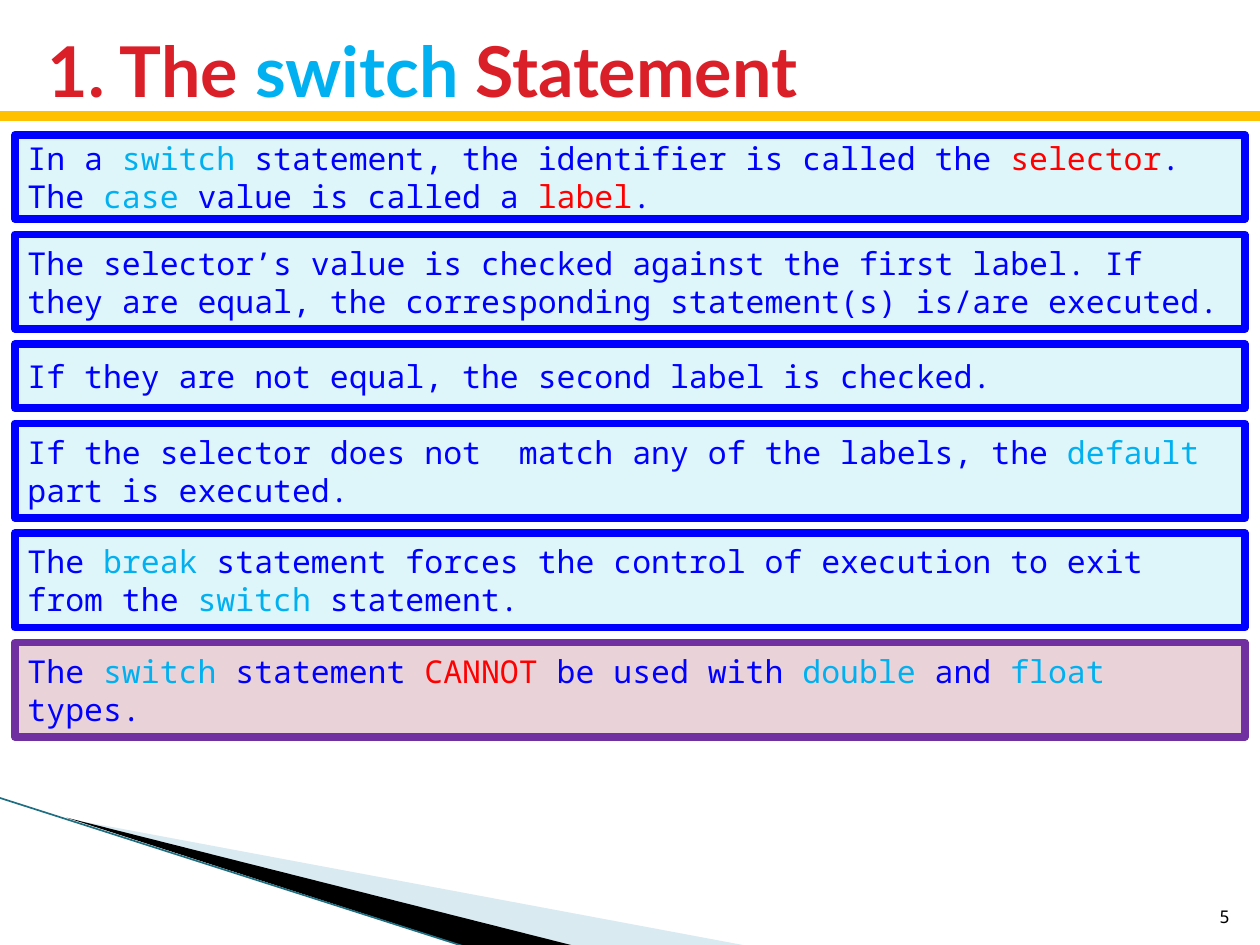
import pptx
import pptx.dml.color
import pptx.enum.shapes
import pptx.enum.text
import pptx.oxml.ns
import pptx.util
from lxml import etree

Inches = pptx.util.Inches
Pt = pptx.util.Pt
RGBColor = pptx.dml.color.RGBColor
Anchor = pptx.enum.text.MSO_ANCHOR
Align = pptx.enum.text.PP_ALIGN

CRIMSON = RGBColor(0xDA, 0x1F, 0x28)
SKY = RGBColor(0x00, 0xB0, 0xF0)
BLUE = RGBColor(0x00, 0x00, 0xFF)
RED = RGBColor(0xFF, 0x00, 0x00)
AMBER = RGBColor(0xFF, 0xC0, 0x00)
PURPLE = RGBColor(0x70, 0x30, 0xA0)
PALE_CYAN = RGBColor(0xDE, 0xF5, 0xFA)
PALE_ROSE = RGBColor(0xEA, 0xD3, 0xD8)
PALE_BLUE = RGBColor(0xA0, 0xCB, 0xDC)
TEAL = RGBColor(0x1F, 0x6F, 0x82)
BLACK = RGBColor(0x00, 0x00, 0x00)

TITLE_FONT = "Lato"
BODY_FONT = "Noto Sans Mono"

BOX_LEFT, BOX_TOP, BOX_WIDTH, BOX_GAP = 0.12, 1.07, 9.76, 0.12

# Each box: height, fill, outline, and its text as (words, colour) pieces.
BOXES = [
    (0.67, PALE_CYAN, BLUE, [
        ("In a ", BLUE), ("switch ", SKY),
        ("statement, the identifier is called the ", BLUE),
        ("selector", RED), (". The ", BLUE), ("case ", SKY),
        ("value is called a ", BLUE), ("label", RED), (".", BLUE)]),
    (0.75, PALE_CYAN, BLUE, [
        ("The selector’s value is checked against the first label. If they "
         "are equal, the corresponding statement(s) is/are executed.", BLUE)]),
    (0.51, PALE_CYAN, BLUE, [
        ("If they are not equal, the second label is checked.", BLUE)]),
    (0.75, PALE_CYAN, BLUE, [
        ("If the selector does not  match any of the labels, the ", BLUE),
        ("default", SKY), (" part is executed.", BLUE)]),
    (0.75, PALE_CYAN, BLUE, [
        ("The ", BLUE), ("break ", SKY),
        ("statement forces the control of execution to exit from the ", BLUE),
        ("switch ", SKY), ("statement.", BLUE)]),
    (0.75, PALE_ROSE, PURPLE, [
        ("The ", BLUE), ("switch ", SKY), ("statement ", BLUE),
        ("CANNOT ", RED), ("be used with ", BLUE), ("double ", SKY),
        ("and ", BLUE), ("float ", SKY), ("types.", BLUE)]),
]


def write_pieces(paragraph, pieces, font_name, size):
    paragraph.alignment = Align.LEFT
    paragraph.font.name = font_name
    paragraph.font.size = Pt(size)
    for words, color in pieces:
        run = paragraph.add_run()
        run.text = words
        run.font.color.rgb = color


def add_wedge(slide, points, color, opacity=None):
    """Draw a filled outline; opacity is a percentage."""
    corners = [(Inches(x), Inches(y)) for x, y in points]
    builder = slide.shapes.build_freeform(*corners[0])
    builder.add_line_segments(corners[1:], close=True)
    shape = builder.convert_to_shape()
    shape.shadow.inherit = False
    shape.fill.solid()
    shape.fill.fore_color.rgb = color
    shape.line.fill.background()
    if opacity is not None:
        color_element = shape.fill._xPr.find(".//" + pptx.oxml.ns.qn("a:srgbClr"))
        alpha = etree.SubElement(color_element, pptx.oxml.ns.qn("a:alpha"))
        alpha.set("val", str(opacity * 1000))


def add_line(slide, start, end, color, width):
    line = slide.shapes.add_connector(
        pptx.enum.shapes.MSO_CONNECTOR.STRAIGHT,
        *(Inches(value) for value in start + end))
    line.line.color.rgb = color
    line.line.width = Pt(width)
    etree.SubElement(line._element.spPr, pptx.oxml.ns.qn("a:effectLst"))


def set_title(slide):
    title = slide.shapes.title
    title.left, title.top = Inches(0.28), Inches(0.13)
    title.width, title.height = Inches(8.92), Inches(0.85)
    frame = title.text_frame
    frame.auto_size = pptx.enum.text.MSO_AUTO_SIZE.NONE
    frame.vertical_anchor = Anchor.MIDDLE
    paragraph = frame.paragraphs[0]
    write_pieces(
        paragraph,
        [("1. The ", CRIMSON), ("switch ", SKY), ("Statement", CRIMSON)],
        TITLE_FONT, 40)
    paragraph.font.bold = True


def add_box(slide, top, height, fill, outline, pieces):
    box = slide.shapes.add_shape(
        pptx.enum.shapes.MSO_SHAPE.RECTANGLE,
        Inches(BOX_LEFT), Inches(top), Inches(BOX_WIDTH), Inches(height))
    box.shadow.inherit = False
    box.fill.solid()
    box.fill.fore_color.rgb = fill
    box.line.color.rgb = outline
    box.line.width = Pt(4.33)
    box.text_frame.word_wrap = True
    box.text_frame.vertical_anchor = Anchor.MIDDLE
    write_pieces(box.text_frame.paragraphs[0], pieces, BODY_FONT, 18)


def add_page_number(slide, number):
    box = slide.shapes.add_textbox(
        Inches(9.46), Inches(7.01), Inches(0.4), Inches(0.4))
    box.text_frame.word_wrap = True
    box.text_frame.vertical_anchor = Anchor.BOTTOM
    paragraph = box.text_frame.paragraphs[0]
    write_pieces(paragraph, [(str(number), BLACK)], BODY_FONT, 10)
    paragraph.alignment = Align.RIGHT


def main():
    presentation = pptx.Presentation()
    presentation.slide_width = Inches(10)
    presentation.slide_height = Inches(7.5)
    slide = presentation.slides.add_slide(presentation.slide_layouts[5])

    add_wedge(slide, [(0.55, 6.5), (5.95, 7.51), (4.56, 7.51)], PALE_BLUE, 40)
    add_wedge(slide, [(0.53, 6.49), (4.57, 7.51), (3.72, 7.52)], BLACK)
    add_line(slide, (-0.01, 6.33), (3.71, 7.52), TEAL, 0.95)
    add_page_number(slide, 5)
    set_title(slide)
    add_line(slide, (0, 0.92), (10, 0.92), AMBER, 6)

    top = BOX_TOP
    for height, fill, outline, pieces in BOXES:
        add_box(slide, top, height, fill, outline, pieces)
        top += height + BOX_GAP

    presentation.save("out.pptx")


if __name__ == "__main__":
    main()
